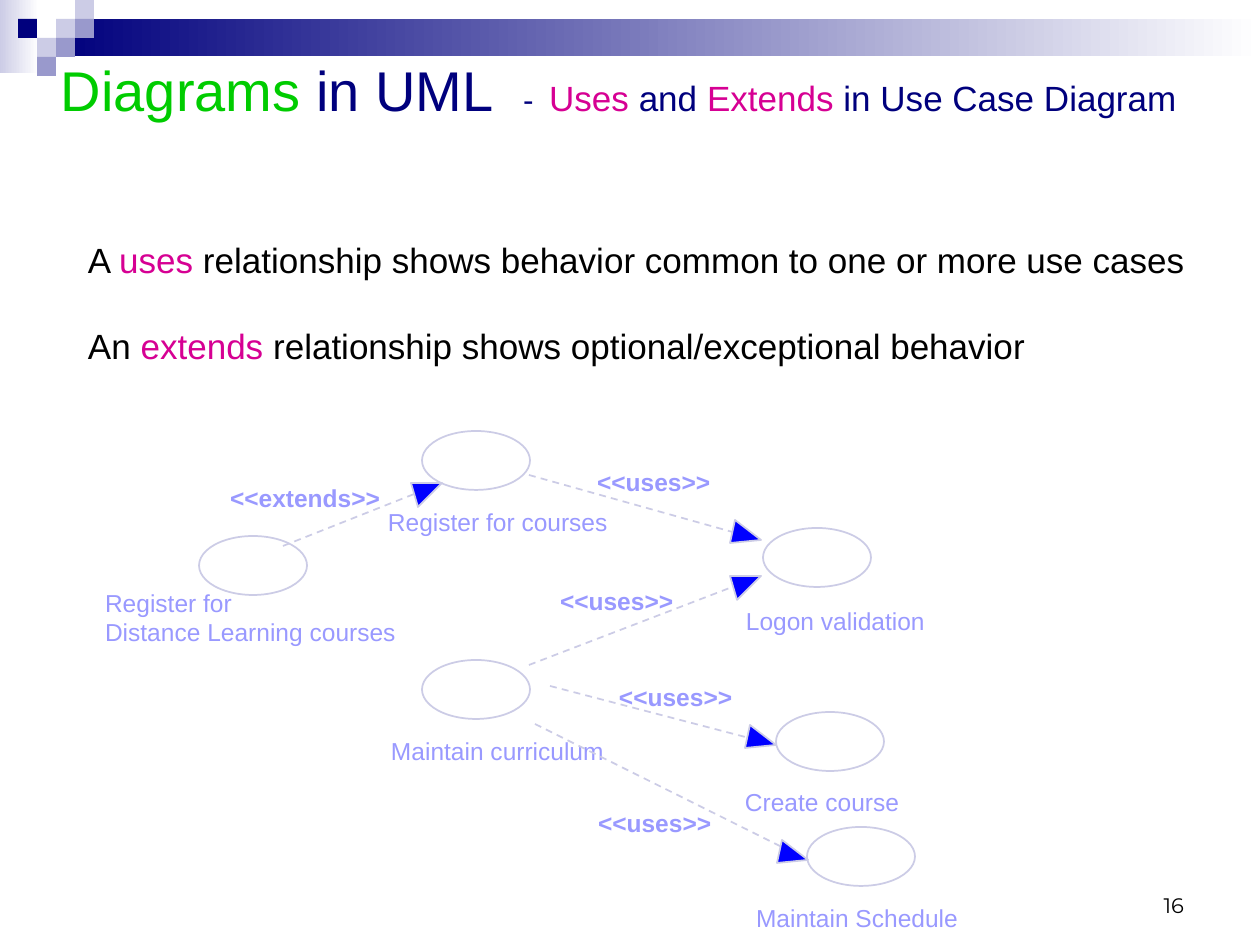
from lxml import etree
from pptx import Presentation
from pptx.dml.color import RGBColor
from pptx.enum.dml import MSO_LINE
from pptx.enum.shapes import MSO_CONNECTOR, MSO_SHAPE
from pptx.enum.text import MSO_ANCHOR, PP_ALIGN
from pptx.oxml.ns import qn
from pptx.util import Pt

SCALE = 914400 / 126
NAVY = RGBColor(0x00, 0x00, 0x7D)
LAVENDER = RGBColor(0xCC, 0xCC, 0xE6)
VIOLET = RGBColor(0x99, 0x99, 0xCC)
LABEL = RGBColor(0x99, 0x99, 0xFF)
GREEN = RGBColor(0x00, 0xCC, 0x00)
MAGENTA = RGBColor(0xD6, 0x00, 0x93)
BLUE = RGBColor(0x00, 0x00, 0xFF)
BLACK = RGBColor(0x00, 0x00, 0x00)
WHITE = RGBColor(0xFF, 0xFF, 0xFF)
RECTANGLE, OVAL = MSO_SHAPE.RECTANGLE, MSO_SHAPE.OVAL
STRAIGHT, DASH = MSO_CONNECTOR.STRAIGHT, MSO_LINE.DASH
TOP, BOTTOM, RIGHT = MSO_ANCHOR.TOP, MSO_ANCHOR.BOTTOM, PP_ALIGN.RIGHT

TILE = 19
OVAL_WIDTH, OVAL_HEIGHT = 108, 59
LABEL_LINE, LABEL_SLACK = 29, 8
HEAD_DOWN = [(-26, -20), (-31, 3)]
HEAD_UP = [(-24, 24), (-31, 0)]


def emu(pixels):
    return round(pixels * SCALE)


def lengths(*values):
    return [emu(value) for value in values]


def add_text(page, box, lines, margins=(0, 0), anchor=TOP):
    shape = page.shapes.add_textbox(*lengths(*box))
    frame = shape.text_frame
    frame.word_wrap = True
    frame.vertical_anchor = anchor
    frame.margin_left = frame.margin_right = emu(margins[0])
    frame.margin_top = frame.margin_bottom = emu(margins[1])
    for index, spans in enumerate(lines):
        para = frame.add_paragraph() if index else frame.paragraphs[0]
        for text, size, color in spans:
            span = para.add_run()
            span.text = text
            span.font.name = "Arial"
            span.font.size = Pt(size)
            span.font.color.rgb = color
    return frame


def add_block(page, box, color, fade=False):
    block = page.shapes.add_shape(RECTANGLE, *lengths(*box))
    block.shadow.inherit = False
    block.line.fill.background()
    if fade:
        block.fill.gradient()
        block.fill.gradient_angle = 0
        for stop, shade in zip(block.fill.gradient_stops, (color, WHITE)):
            stop.color.rgb = shade
    else:
        block.fill.solid()
        block.fill.fore_color.rgb = color


def add_banner(page, box):
    left, top, width, height = box
    add_block(page, (left, top, 39, height), LAVENDER, True)
    add_block(page, (left + 3 * TILE, top + TILE, width - 3 * TILE, 2 * TILE - 1), NAVY, True)
    tiles = [(3, 1, LAVENDER), (4, 0, LAVENDER), (4, 1, VIOLET), (2, 2, LAVENDER),
             (1, 1, NAVY), (3, 2, VIOLET), (2, 3, VIOLET)]
    for column, row, color in tiles:
        add_block(page, (left + column * TILE - 1, top + row * TILE, TILE, TILE), color)


def add_title(page, box):
    spans = [("Diagrams", 32, GREEN), (" in UML  ", 32, NAVY), ("-", 18, NAVY),
             (" ", 32, NAVY), ("Uses", 20, MAGENTA), (" and ", 20, NAVY),
             ("Extends", 20, MAGENTA), (" in Use Case Diagram", 20, NAVY)]
    add_text(page, box, [spans], (8, 3), BOTTOM)


def add_definitions(page, box):
    lines = [
        ("A ", "uses", " relationship shows behavior common to one or more use cases"),
        ("An ", "extends", " relationship shows optional/exceptional behavior"),
    ]
    colors = (BLACK, MAGENTA, BLACK)
    spans = [[(text, 20, color) for text, color in zip(line, colors)] for line in lines]
    frame = add_text(page, box, spans, (15, 7))
    for para, space in zip(frame.paragraphs, (5, 25.5)):
        para.space_before = Pt(space)


def outline(line):
    line.color.rgb = LAVENDER
    line.width = Pt(1)


def add_use_case(page, left, top):
    oval = page.shapes.add_shape(OVAL, *lengths(left, top, OVAL_WIDTH, OVAL_HEIGHT))
    oval.shadow.inherit = False
    oval.fill.background()
    outline(oval.line)


def add_label(page, left, top, width, lines, bold=False):
    box = (left, top, width + LABEL_SLACK, LABEL_LINE * len(lines))
    frame = add_text(page, box, [[(line, 14, LABEL)] for line in lines])
    for para in frame.paragraphs:
        para.runs[0].font.bold = bold


def add_relation(page, start, tip, head):
    line = page.shapes.add_connector(STRAIGHT, *lengths(*start, *tip))
    etree.SubElement(line._element.spPr, qn("a:effectLst"))
    outline(line.line)
    line.line.dash_style = DASH
    builder = page.shapes.build_freeform(*lengths(*tip))
    corners = [lengths(tip[0] + dx, tip[1] + dy) for dx, dy in head]
    builder.add_line_segments(corners, close=True)
    arrow = builder.convert_to_shape()
    arrow.shadow.inherit = False
    arrow.fill.solid()
    arrow.fill.fore_color.rgb = BLUE
    outline(arrow.line)


def add_diagram(page, box):
    left, top = box[:2]
    use_cases = [
        (317, 0, 283, 76, 220, ["Register for courses"]),
        (658, 97, 641, 175, 179, ["Logon validation"]),
        (317, 229, 286, 305, 213, ["Maintain curriculum"]),
        (94, 105, 0, 157, 338, ["Register for", "Distance Learning courses"]),
        (671, 281, 640, 356, 155, ["Create course"]),
        (702, 396, 651, 472, 203, ["Maintain Schedule"]),
    ]
    relations = [
        ((424, 44), (656, 109), HEAD_DOWN, "<<uses>>", 492, 36, 113),
        ((424, 234), (656, 145), HEAD_UP, "<<uses>>", 455, 155, 113),
        ((178, 115), (337, 52), HEAD_UP, "<<extends>>", 125, 52, 150),
        ((445, 255), (671, 314), HEAD_DOWN, "<<uses>>", 514, 251, 113),
        ((430, 293), (703, 429), HEAD_DOWN, "<<uses>>", 493, 377, 113),
    ]
    for x, y, label_x, label_y, width, lines in use_cases:
        add_use_case(page, left + x, top + y)
        add_label(page, left + label_x, top + label_y, width, lines)
    for start, tip, head, name, x, y, width in relations:
        add_relation(page, (left + start[0], top + start[1]),
                     (left + tip[0], top + tip[1]), head)
        add_label(page, left + x, top + y, width, [name], True)


def add_page_number(page, box):
    frame = add_text(page, box, [[("16", 12, BLACK)]], (13, 6), BOTTOM)
    para = frame.paragraphs[0]
    para.alignment = RIGHT
    para.runs[0].font.name = "Montserrat"


deck = Presentation()
deck.slide_width, deck.slide_height = lengths(1260, 945)
page = deck.slides.add_slide(deck.slide_layouts[6])
add_banner(page, (0, 0, 1260, 73))
add_page_number(page, (903, 861, 294, 63))
add_title(page, (53, 53, 1176, 73))
add_definitions(page, (73, 231, 1157, 147))
add_diagram(page, (105, 431, 860, 502))
deck.save("out.pptx")
